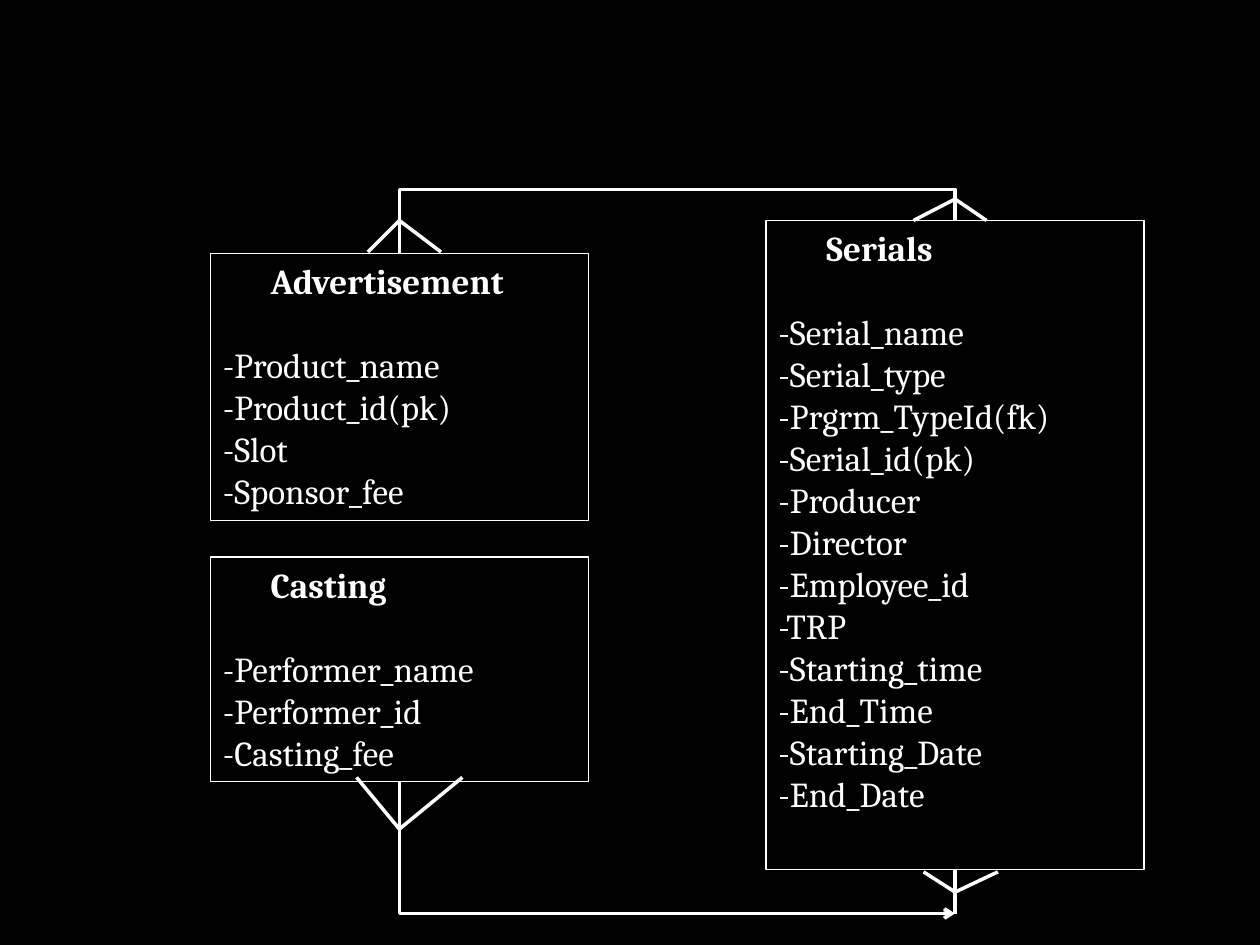
from lxml.etree import SubElement
from pptx import Presentation
from pptx.dml.color import RGBColor
from pptx.enum.shapes import MSO_CONNECTOR, MSO_SHAPE
from pptx.enum.text import MSO_ANCHOR, PP_ALIGN
from pptx.oxml.ns import qn
from pptx.util import Inches, Pt

COLORS = {"background": "000000", "ink": "FFFFFF"}
FONT = "Cambria"
BOX_WIDTH = 3
LEFT_COLUMN, RIGHT_COLUMN = 1.67, 6.08
LEFT_AXIS = LEFT_COLUMN + BOX_WIDTH / 2
RIGHT_AXIS = RIGHT_COLUMN + BOX_WIDTH / 2


class EntityDiagram:
    def __init__(self, page):
        self.page = page
        self.ink = RGBColor.from_string(COLORS["ink"])
        self.background = RGBColor.from_string(COLORS["background"])
        page.background.fill.solid()
        page.background.fill.fore_color.rgb = self.background

    def entity(self, left, top, height, title, fields):
        box = self.page.shapes.add_shape(
            MSO_SHAPE.RECTANGLE, Inches(left), Inches(top), Inches(BOX_WIDTH), Inches(height)
        )
        box.shadow.inherit = False
        box.fill.solid()
        box.fill.fore_color.rgb = self.background
        box.line.color.rgb = self.ink
        box.line.width = Pt(0.75)
        frame = box.text_frame
        frame.word_wrap = True
        frame.vertical_anchor = MSO_ANCHOR.TOP
        frame.text = "\n".join([title] + [f"-{field}" for field in fields])
        for index, para in enumerate(frame.paragraphs):
            para.alignment = PP_ALIGN.LEFT
            for span in para.runs:
                span.font.name = FONT
                span.font.size = Pt(20)
                span.font.bold = index == 0
                span.font.color.rgb = self.ink
        heading = frame.paragraphs[0]
        heading.space_after = Pt(24)
        properties = heading._p.get_or_add_pPr()
        properties.set("marL", "0")
        properties.set("indent", str(Inches(0.38)))
        return box

    def connector(self, kind, start, end):
        link = self.page.shapes.add_connector(kind, *(Inches(value) for value in (*start, *end)))
        link.line.color.rgb = self.ink
        link.line.width = Pt(2)
        SubElement(link._element.spPr, qn("a:effectLst"))
        return link

    def line(self, start, end):
        return self.connector(MSO_CONNECTOR.STRAIGHT, start, end)

    def elbow(self, start, end, preset, rotation, flip_vertical, bend=None, arrow=False):
        center_x, center_y = (start[0] + end[0]) / 2, (start[1] + end[1]) / 2
        half_width = abs(end[1] - start[1]) / 2
        half_height = abs(end[0] - start[0]) / 2
        if flip_vertical:
            half_height = -half_height
        link = self.connector(
            MSO_CONNECTOR.ELBOW,
            (center_x + half_width, center_y - half_height),
            (center_x - half_width, center_y + half_height),
        )
        properties = link._element.spPr
        properties.find(qn("a:xfrm")).set("rot", str(rotation * 60000))
        geometry = properties.find(qn("a:prstGeom"))
        geometry.set("prst", preset)
        if bend is not None:
            guides = geometry.find(qn("a:avLst"))
            if guides is None:
                guides = SubElement(geometry, qn("a:avLst"))
            SubElement(guides, qn("a:gd"), name="adj1", fmla=f"val {round(bend * 100000)}")
        if arrow:
            SubElement(link.line._get_or_add_ln(), qn("a:tailEnd"), type="arrow")

    def crow_foot(self, tip, foot_y, left_x, right_x):
        for foot_x in (left_x, right_x):
            self.line(tip, (foot_x, foot_y))


def main():
    deck = Presentation()
    deck.slide_width, deck.slide_height = Inches(10), Inches(7.5)
    diagram = EntityDiagram(deck.slides.add_slide(deck.slide_layouts[6]))

    serials = diagram.entity(RIGHT_COLUMN, 1.75, 5.15, "Serials", [
        "Serial_name", "Serial_type", "Prgrm_TypeId(fk)", "Serial_id(pk)", "Producer", "Director",
        "Employee_id", "TRP", "Starting_time", "End_Time", "Starting_Date", "End_Date",
    ])
    diagram.entity(LEFT_COLUMN, 2.01, 2.12, "Advertisement", [
        "Product_name", "Product_id(pk)", "Slot", "Sponsor_fee",
    ])
    diagram.entity(LEFT_COLUMN, 4.42, 1.78, "Casting", [
        "Performer_name", "Performer_id", "Casting_fee",
    ])

    diagram.elbow((LEFT_AXIS, 2.01), (RIGHT_AXIS, 1.75), "bentConnector3", 90, True, bend=1.95)
    diagram.elbow((LEFT_AXIS, 6.2), (RIGHT_AXIS, 7.25), "bentConnector2", 270, False, arrow=True)
    diagram.line((RIGHT_AXIS, 7.25), (RIGHT_AXIS, 6.9)).end_connect(serials, 2)

    diagram.crow_foot((LEFT_AXIS, 1.75), 2, 2.92, 3.5)
    diagram.crow_foot((RIGHT_AXIS, 1.58), 1.75, 7.25, 7.83)
    diagram.crow_foot((LEFT_AXIS, 6.58), 6.17, 2.83, 3.67)
    diagram.crow_foot((RIGHT_AXIS, 7.08), 6.92, 7.33, 7.92)

    deck.save("out.pptx")


if __name__ == "__main__":
    main()
